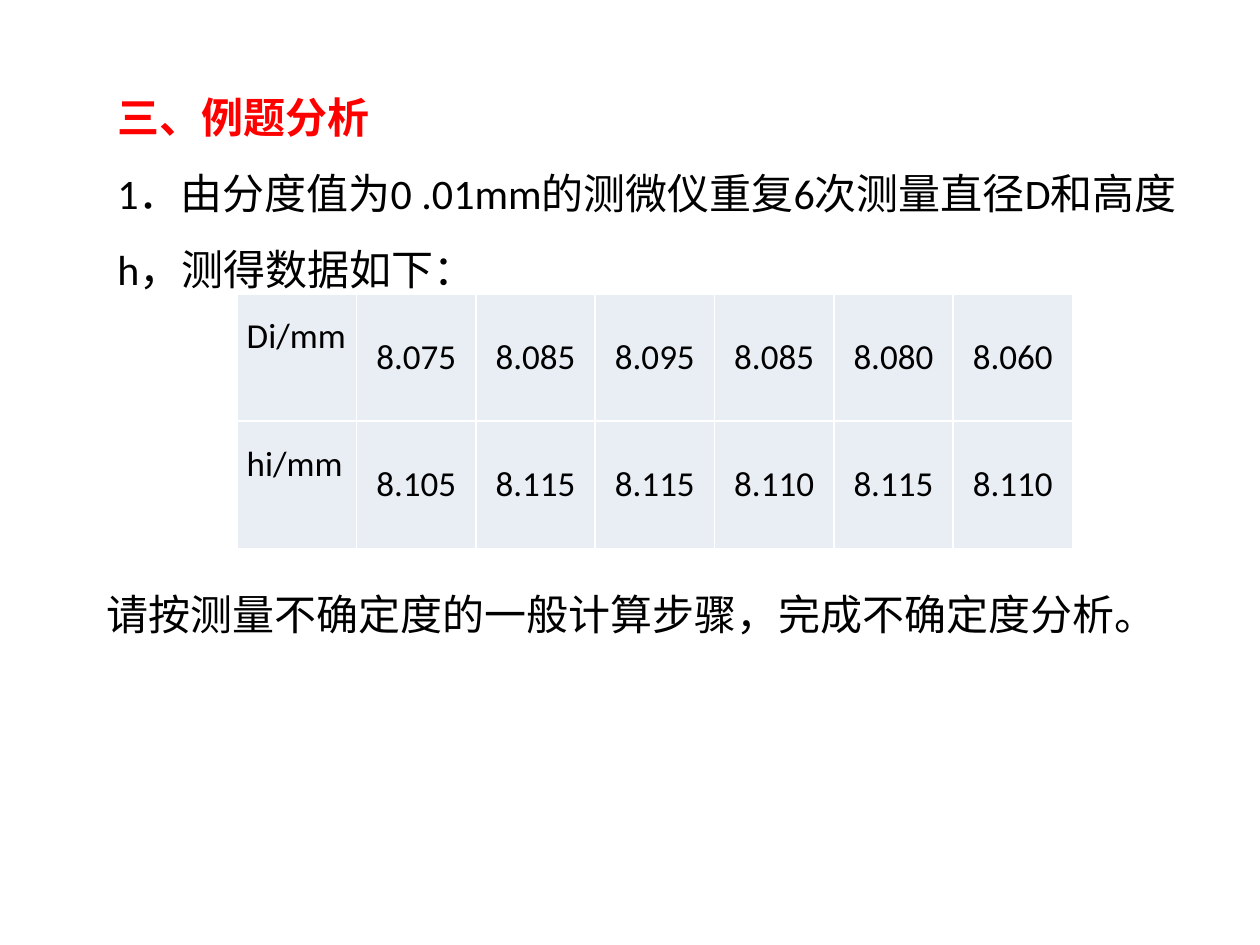
from lxml import etree
from pptx import Presentation
from pptx.dml.color import RGBColor
from pptx.enum.text import MSO_ANCHOR, PP_ALIGN
from pptx.oxml.ns import qn
from pptx.util import Pt

CENTER, JUSTIFY = PP_ALIGN.CENTER, PP_ALIGN.JUSTIFY
TOP, MIDDLE = MSO_ANCHOR.TOP, MSO_ANCHOR.MIDDLE
FONT = "Calibri"
COLORS = {"heading": "FF0000", "text": "000000", "cell": "E9EDF4", "border": "FFFFFF"}

MEASUREMENTS = [
    ["Di/mm", "8.075", "8.085", "8.095", "8.085", "8.080", "8.060"],
    ["hi/mm", "8.105", "8.115", "8.115", "8.110", "8.115", "8.110"],
]
COL_WIDTH, ROW_HEIGHT = 68.2, 72.7


def write_text(p, text, size=24, color="text", bold=False, align=None, spacing=None):
    r = p.add_run()
    r.text = text
    r.font.name = FONT
    r.font.size = Pt(size)
    r.font.bold = bold
    r.font.color.rgb = RGBColor.from_string(COLORS[color])
    if align is not None:
        p.alignment = align
    if spacing is not None:
        p.line_spacing = spacing


def add_text_box(s, left, top, width, height):
    tf = s.shapes.add_textbox(Pt(left), Pt(top), Pt(width), Pt(height)).text_frame
    tf.word_wrap = True
    return tf


def set_borders(cell, width=1):
    tcPr = cell._tc.get_or_add_tcPr()
    for side in ("a:lnL", "a:lnR", "a:lnT", "a:lnB"):
        ln = etree.SubElement(tcPr, qn(side), w=str(Pt(width)))
        fill = etree.SubElement(ln, qn("a:solidFill"))
        etree.SubElement(fill, qn("a:srgbClr"), val=COLORS["border"])


def fill_cell(cell, text, is_label):
    set_borders(cell)
    cell.fill.solid()
    cell.fill.fore_color.rgb = RGBColor.from_string(COLORS["cell"])
    cell.margin_left = cell.margin_right = Pt(5.4)
    cell.margin_top = cell.margin_bottom = 0
    cell.vertical_anchor = TOP if is_label else MIDDLE
    write_text(cell.text_frame.paragraphs[0], text, size=20,
               align=JUSTIFY if is_label else CENTER,
               spacing=1.5 if is_label else None)


def add_measurement_table(s, left, top):
    rows, cols = len(MEASUREMENTS), len(MEASUREMENTS[0])
    table = s.shapes.add_table(rows, cols, Pt(left), Pt(top),
                               Pt(cols * COL_WIDTH), Pt(rows * ROW_HEIGHT)).table
    table.first_row = table.horz_banding = False
    for column in table.columns:
        column.width = Pt(COL_WIDTH)
    for i, values in enumerate(MEASUREMENTS):
        table.rows[i].height = Pt(ROW_HEIGHT)
        for j, value in enumerate(values):
            fill_cell(table.cell(i, j), value, is_label=j == 0)


def main():
    prs = Presentation()
    prs.slide_width, prs.slide_height = Pt(720), Pt(540)
    s = prs.slides.add_slide(prs.slide_layouts[6])

    tf = add_text_box(s, 60, 49, 629, 298)
    write_text(tf.paragraphs[0], "三、例题分析", color="heading", bold=True)
    write_text(tf.add_paragraph(),
               "1．由分度值为0 .01mm的测微仪重复6次测量直径D和高度h，测得数据如下：",
               spacing=1.5)

    add_measurement_table(s, 135.6, 168)

    tf = add_text_box(s, 54, 333, 635, 36)
    write_text(tf.paragraphs[0], "请按测量不确定度的一般计算步骤，完成不确定度分析。")

    prs.save("out.pptx")


if __name__ == "__main__":
    main()
